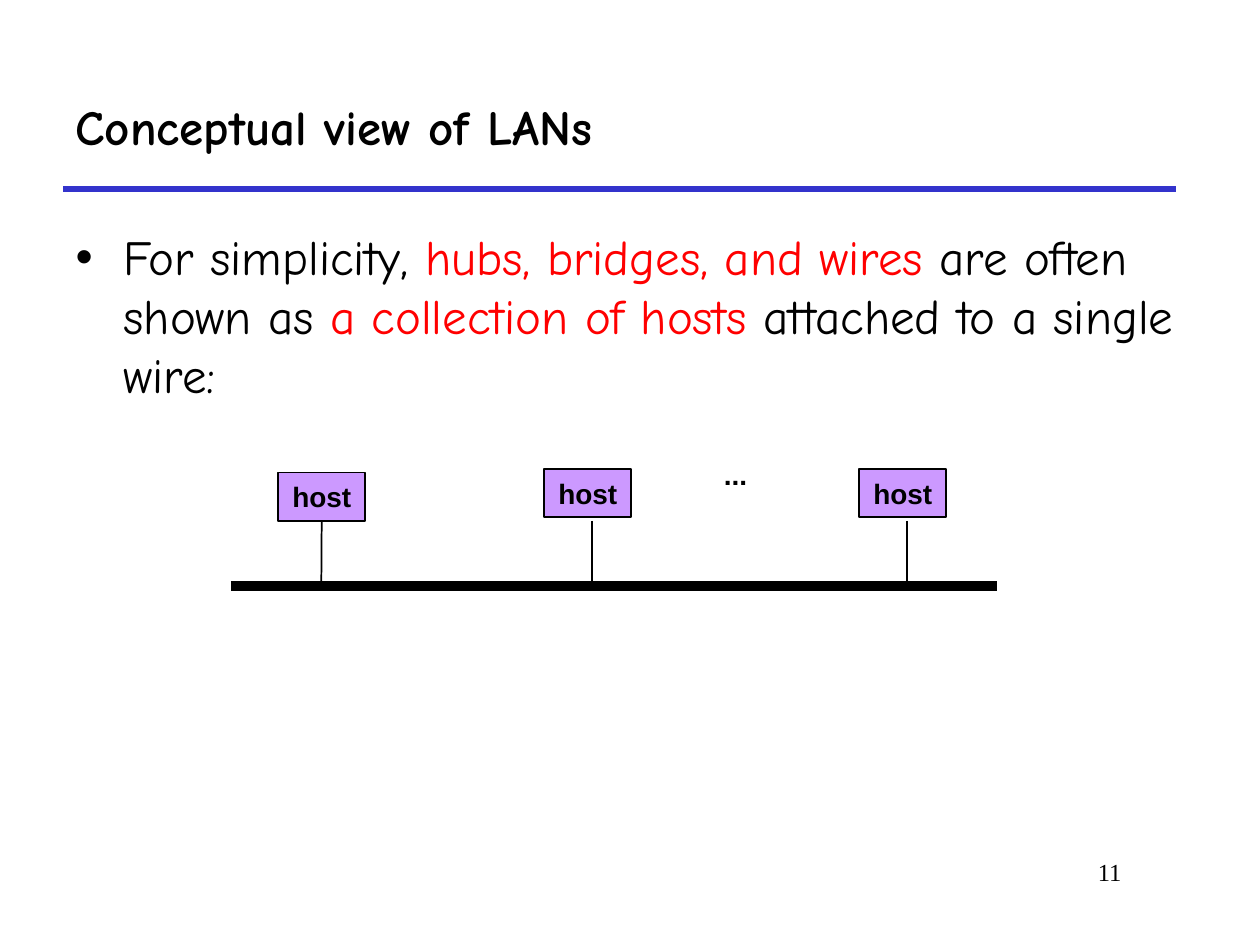
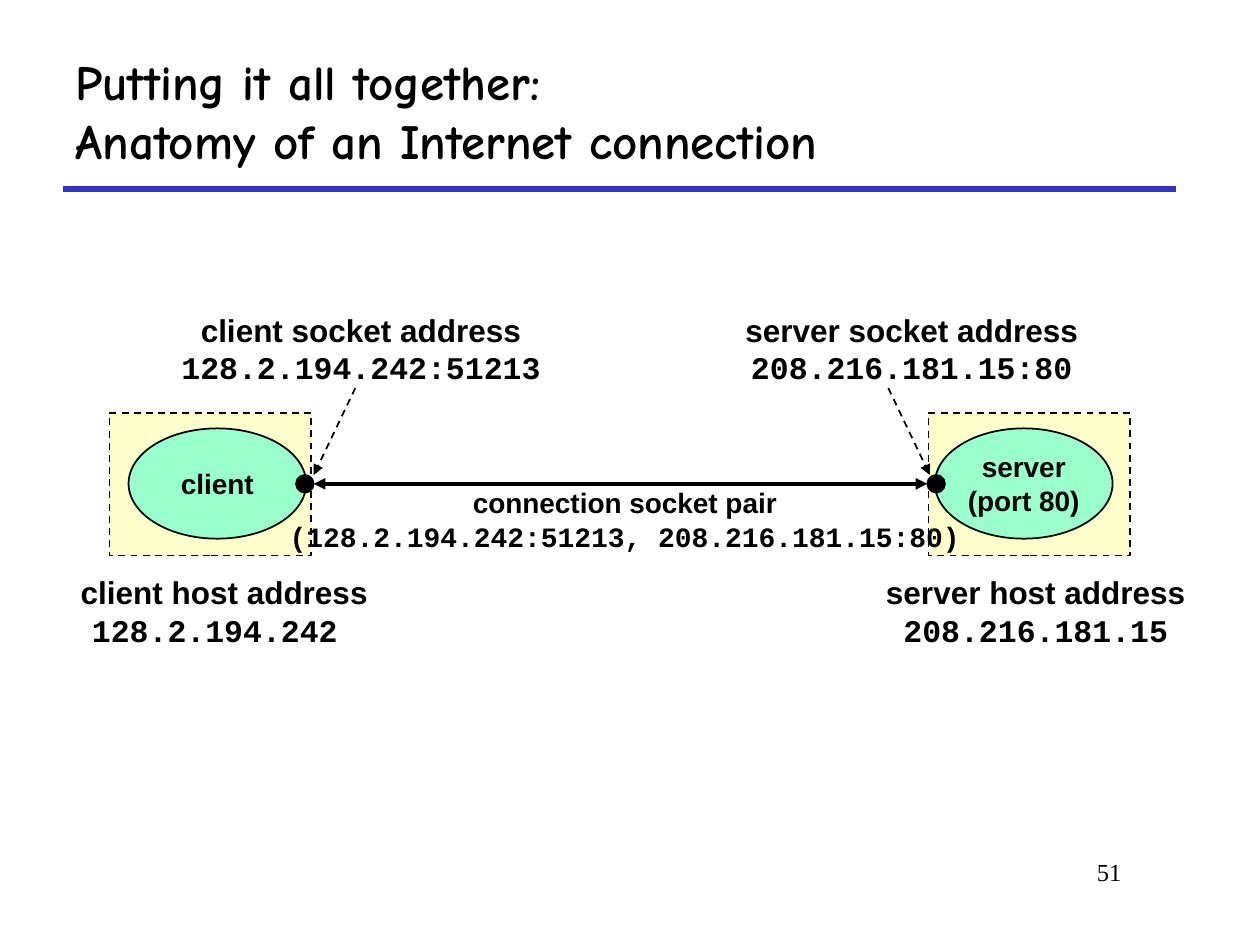
from lxml import etree
from pptx import Presentation
from pptx import util as u
from pptx.dml.color import RGBColor
from pptx.enum import dml, shapes, text
from pptx.oxml import ns

BLACK = RGBColor(0, 0, 0)
RED = RGBColor(0xFF, 0, 0)
RULE_BLUE = RGBColor(0x33, 0x33, 0xCC)
HOST_VIOLET = RGBColor(0xCC, 0x99, 0xFF)
MACHINE_YELLOW = RGBColor(0xFF, 0xFF, 0xCC)
PROCESS_GREEN = RGBColor(0x99, 0xFF, 0xCC)

HEADING_FONT = "Comic Neue"
LABEL_FONT = "Arial"
CODE_FONT = "Courier New"
NUMBER_FONT = "Times New Roman"

COLUMNS, ROWS = 120, 90
LEFT, MIDDLE = text.PP_ALIGN.LEFT, text.MSO_ANCHOR.MIDDLE
RECTANGLE, OVAL = shapes.MSO_SHAPE.RECTANGLE, shapes.MSO_SHAPE.OVAL


def write(frame, paragraphs, size=16, font=LABEL_FONT, color=BLACK, bold=True,
          align=text.PP_ALIGN.CENTER, anchor=MIDDLE, wrap=False, bullet=None):
    frame.word_wrap = wrap
    frame.auto_size = text.MSO_AUTO_SIZE.NONE
    frame.vertical_anchor = anchor
    for index, runs in enumerate(paragraphs):
        paragraph = frame.add_paragraph() if index else frame.paragraphs[0]
        if bullet:
            props = paragraph._p.get_or_add_pPr()
            props.set("marL", str(u.Inches(0.38)))
            props.set("indent", str(-u.Inches(0.38)))
            etree.SubElement(props, ns.qn("a:buChar"), char=bullet)
        paragraph.alignment = align
        paragraph.space_before = u.Pt(0)
        for words, changes in runs:
            for number, line in enumerate(words.split("\n")):
                if number:
                    paragraph.add_line_break()
                run = paragraph.add_run()
                run.text = line
                run.font.size = u.Pt(size)
                run.font.name = changes.get("font", font)
                run.font.bold = bold
                run.font.color.rgb = changes.get("color", color)


def plain(*lines):
    return [[(line, {})] for line in lines]


def captioned(caption, address):
    return [[(caption, {})], [(address, {"font": CODE_FONT})]]


class Deck:
    def __init__(self):
        self.file = Presentation()
        self.file.slide_width = u.Inches(10)
        self.file.slide_height = u.Inches(7.5)
        self.slide = None

    def x(self, columns):
        return round(self.file.slide_width * columns / COLUMNS)

    def y(self, rows):
        return round(self.file.slide_height * rows / ROWS)

    def box(self, left, top, width, height):
        return self.x(left), self.y(top), self.x(width), self.y(height)

    def start(self, layout, title, number, title_top):
        self.slide = self.file.slides.add_slide(self.file.slide_layouts[layout])
        self.line((6, 18), (112, 18), RULE_BLUE, 3)
        self.label((91, 81, 17, 6), plain(number), size=14, font=NUMBER_FONT,
                   bold=False, align=text.PP_ALIGN.RIGHT,
                   anchor=text.MSO_ANCHOR.TOP, wrap=True)
        self.fill_placeholder(self.slide.shapes.title,
                              (6, title_top, 106, 18 - title_top), plain(title),
                              anchor=MIDDLE)

    def fill_placeholder(self, holder, place, paragraphs, **style):
        holder.left, holder.top, holder.width, holder.height = self.box(*place)
        write(holder.text_frame, paragraphs, size=28, font=HEADING_FONT,
              align=LEFT, wrap=True, **style)

    def bullets(self, place, paragraphs):
        self.fill_placeholder(self.slide.placeholders[1], place, paragraphs,
                              bold=False, anchor=text.MSO_ANCHOR.TOP, bullet="•")

    def label(self, place, paragraphs, **style):
        box = self.slide.shapes.add_textbox(*self.box(*place))
        write(box.text_frame, paragraphs, **style)

    def shape(self, kind, place, fill, paragraphs=(), dashed=False):
        shape = self.slide.shapes.add_shape(kind, *self.box(*place))
        shape.shadow.inherit = False
        shape.fill.solid()
        shape.fill.fore_color.rgb = fill
        shape.line.color.rgb = BLACK
        shape.line.width = u.Pt(1)
        if dashed:
            shape.line.dash_style = dml.MSO_LINE.DASH
        if paragraphs:
            write(shape.text_frame, paragraphs)
        return shape

    def line(self, start, end, color=BLACK, width=1, dashed=False, arrows=()):
        line = self.slide.shapes.add_connector(
            shapes.MSO_CONNECTOR.STRAIGHT, self.x(start[0]), self.y(start[1]),
            self.x(end[0]), self.y(end[1]))
        line.line.color.rgb = color
        line.line.width = u.Pt(width)
        if dashed:
            line.line.dash_style = dml.MSO_LINE.DASH
        for arrow in arrows:
            etree.SubElement(line.line._get_or_add_ln(), ns.qn(arrow), type="triangle")
        etree.SubElement(line._element.spPr, ns.qn("a:effectLst"))
        return line


def lan_slide(deck):
    deck.start(1, "Conceptual view of LANs", "11", title_top=6)
    deck.bullets((6, 21, 109, 20), [[
        ("For simplicity, ", {}),
        ("hubs, bridges, and wires", {"color": RED}),
        (" are often shown as ", {}),
        ("a collection of hosts", {"color": RED}),
        (" attached to a single wire:", {}),
    ]])
    wire_row = 55.8
    deck.line((22, wire_row), (95, wire_row), width=6)
    drops = [deck.line((column, 49.6), (column, wire_row))
             for column in (30.6, 56.4, 86.4)]
    hosts = [deck.shape(RECTANGLE, (left, top, 8.28, 4.6), HOST_VIOLET, plain("host"))
             for left, top in ((26.5, 45), (51.84, 44.64), (81.84, 44.64))]
    drops[0].begin_connect(hosts[0], 2)
    deck.label((67.7, 43, 4.7, 4.4), plain("..."))


def connection_slide(deck):
    deck.start(5, "Putting it all together:\nAnatomy of an Internet connection",
               "51", title_top=3)
    for left in (88.44, 10.44):
        deck.shape(RECTANGLE, (left, 39.36, 19.2, 13.56), MACHINE_YELLOW, dashed=True)
    deck.label((25.92, 45.6, 67.2, 7.68),
               captioned("connection socket pair",
                         "(128.2.194.242:51213, 208.216.181.15:80)"))
    for left, process in ((89.04, ("server", "(port 80)")), (12.24, ("client",))):
        deck.shape(OVAL, (left, 40.8, 16.92, 10.5), PROCESS_GREEN, plain(*process))
    deck.line((29.88, 46.08), (88.32, 46.08), width=2.25,
              arrows=("a:headEnd", "a:tailEnd"))
    for left in (28.2, 88.32):
        deck.shape(OVAL, (left, 45.24, 1.68, 1.68), BLACK)
    for place, caption, address in (
            ((15.96, 28.92, 36.84, 8.52), "client socket address", "128.2.194.242:51213"),
            ((67.68, 28.92, 38.28, 8.52), "server socket address", "208.216.181.15:80"),
            ((6.36, 53.88, 30, 8.52), "client host address", "128.2.194.242 "),
            ((83.04, 53.88, 31.2, 8.52), "server host address", "208.216.181.15")):
        deck.label(place, captioned(caption, address), size=18)
    for label_column, socket_column in ((33.84, 29.88), (84.6, 88.56)):
        deck.line((label_column, 36.96), (socket_column, 45.24), dashed=True,
                  arrows=("a:tailEnd",))


def main():
    deck = Deck()
    lan_slide(deck)
    connection_slide(deck)
    deck.file.save("out.pptx")


if __name__ == "__main__":
    main()
